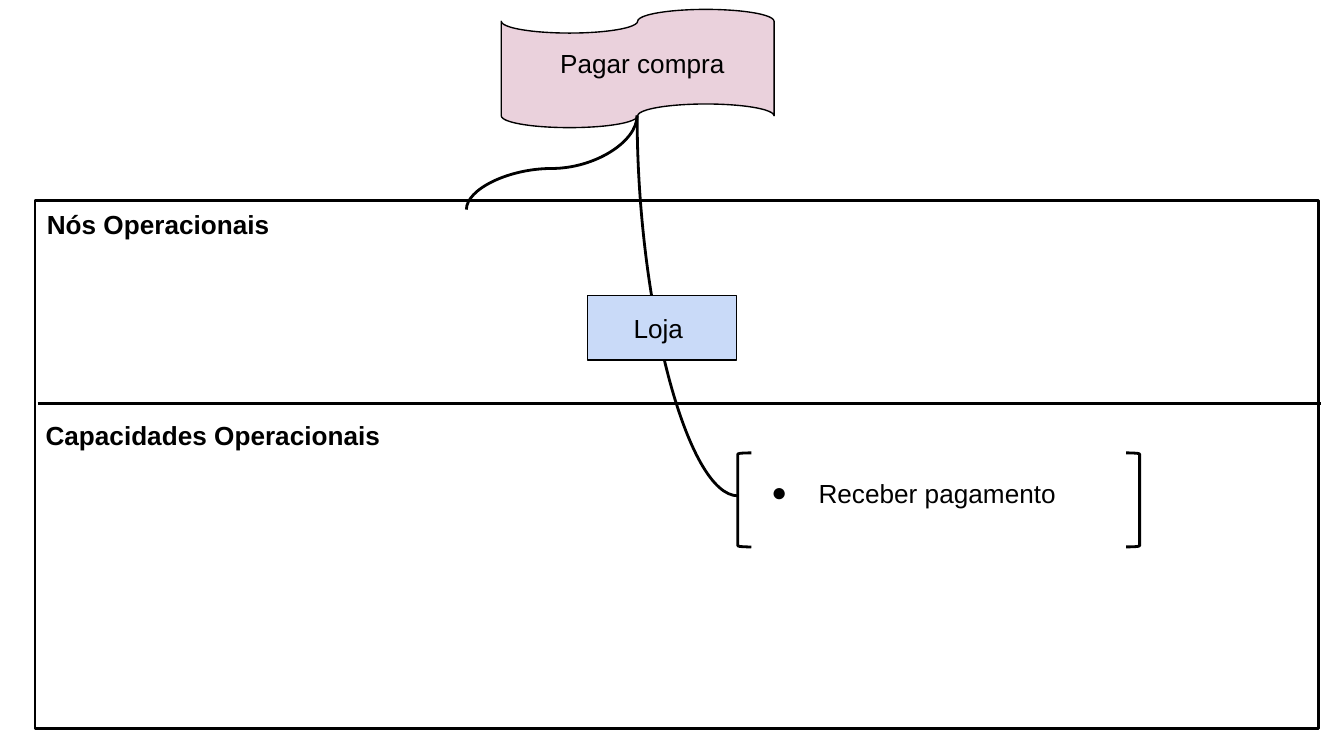
from dataclasses import dataclass
from typing import Optional

from lxml import etree
from pptx import Presentation
from pptx.dml.color import RGBColor
from pptx.enum import shapes as sh, text as tx
from pptx.oxml.ns import qn
from pptx.util import Inches, Pt

BLACK, WHITE, PINK, BLUE = "000000", "FFFFFF", "EAD1DC", "C9DAF8"
Shape = sh.MSO_SHAPE


@dataclass
class Box:
    left: float
    top: float
    width: float
    height: float

    def lengths(self) -> tuple:
        return tuple(Inches(v) for v in (self.left, self.top, self.width, self.height))


@dataclass
class Curve:
    """A curve that leaves its start vertically."""
    start: tuple
    end: tuple
    preset: str
    bend: Optional[int] = None


def color(value: str) -> RGBColor:
    return RGBColor.from_string(value)


def draw_shape(slide, kind, box: Box, fill: Optional[str], weight: float):
    shape = slide.shapes.add_shape(kind, *box.lengths())
    shape.shadow.inherit = False
    if fill:
        shape.fill.solid()
        shape.fill.fore_color.rgb = color(fill)
    else:
        shape.fill.background()
    shape.line.color.rgb = color(BLACK)
    shape.line.width = Pt(weight)
    return shape


def write(shape, words: str, align=tx.PP_ALIGN.LEFT, anchor=tx.MSO_ANCHOR.TOP,
          bold: bool = False, bullet: bool = False) -> None:
    frame = shape.text_frame
    frame.word_wrap = True
    frame.auto_size = tx.MSO_AUTO_SIZE.NONE
    frame.vertical_anchor = anchor
    frame.margin_left = frame.margin_right = Inches(0.1)
    frame.margin_top = frame.margin_bottom = Inches(0.1)
    frame.text = words
    paragraph = frame.paragraphs[0]
    paragraph.alignment = align
    paragraph.space_before = Pt(0)
    if bullet:
        properties = paragraph._p.get_or_add_pPr()
        properties.set("marL", str(Inches(0.5)))
        properties.set("indent", str(Inches(-0.35)))
        bullet_color = etree.SubElement(properties, qn("a:buClr"))
        etree.SubElement(bullet_color, qn("a:srgbClr"), val=BLACK)
        etree.SubElement(properties, qn("a:buFont"), typeface="Arial")
        etree.SubElement(properties, qn("a:buChar"), char="●")
    font = paragraph.font
    font.name, font.size, font.bold = "Arial", Pt(14), bold
    font.color.rgb = color(BLACK)


def place(slide, placeholder, box: Box) -> None:
    """Move a placeholder to its box, in front of what is drawn so far."""
    (placeholder.left, placeholder.top,
     placeholder.width, placeholder.height) = box.lengths()
    slide.shapes._spTree.append(placeholder._element)


def draw_connector(slide, kind, start: tuple, end: tuple):
    connector = slide.shapes.add_connector(kind, *(Inches(v) for v in (*start, *end)))
    connector.line.color.rgb = color(BLACK)
    connector.line.width = Pt(1.5)
    etree.SubElement(connector._element.spPr, qn("a:effectLst"))
    return connector


def draw_curve(slide, curve: Curve) -> None:
    """Lay the curve on its side, then turn it so that it runs downwards."""
    (x1, y1), (x2, y2) = curve.start, curve.end
    mid_x, mid_y = (x1 + x2) / 2, (y1 + y2) / 2
    half_w, half_h = (y2 - y1) / 2, abs(x2 - x1) / 2
    side = -1 if x2 < x1 else 1
    connector = draw_connector(slide, sh.MSO_CONNECTOR.CURVE,
                               (mid_x + side * half_w, mid_y - half_h),
                               (mid_x - side * half_w, mid_y + half_h))
    properties = connector._element.spPr
    properties.find(qn("a:xfrm")).set("rot", str((90 if side < 0 else 270) * 60000))
    geometry = properties.find(qn("a:prstGeom"))
    geometry.set("prst", curve.preset)
    if curve.bend is not None:
        etree.SubElement(geometry.find(qn("a:avLst")), qn("a:gd"),
                         name="adj1", fmla=f"val {curve.bend}")


def main() -> None:
    deck = Presentation()
    deck.slide_width = Inches(10)
    deck.slide_height = deck.slide_width * 9 // 16
    slide = deck.slides.add_slide(deck.slide_layouts[1])
    activity, capabilities = slide.placeholders

    draw_shape(slide, Shape.FLOWCHART_PUNCHED_TAPE, Box(3.73, 0.07, 2.03, 0.88), PINK, 0.75)
    place(slide, activity, Box(3.73, 0.25, 2.1, 0.52))
    write(activity, "Pagar compra", tx.PP_ALIGN.CENTER)

    draw_shape(slide, Shape.RECTANGLE, Box(0.26, 1.49, 9.55, 3.93), WHITE, 1.5)
    draw_connector(slide, sh.MSO_CONNECTOR.STRAIGHT, (0.28, 3), (9.83, 3))
    for heading, box in (("Nós Operacionais", Box(0.25, 1.45, 2.03, 0.37)),
                         ("Capacidades Operacionais", Box(0.24, 3.02, 2.78, 0.46))):
        write(slide.shapes.add_textbox(*box.lengths()), heading, bold=True)

    for bracket_kind, left in ((Shape.LEFT_BRACKET, 5.49), (Shape.RIGHT_BRACKET, 8.38)):
        bracket = draw_shape(slide, bracket_kind, Box(left, 3.37, 0.1, 0.7), None, 1.5)
        bracket.adjustments[0] = 0.08
    place(slide, capabilities, Box(5.49, 3.45, 2.9, 0.48))
    write(capabilities, "Receber pagamento", bullet=True)

    tape_bottom = (4.74, 0.86)
    for curve in (Curve(tape_bottom, (3.47, 1.56), "curvedConnector3", 56300),
                  Curve(tape_bottom, (5.49, 3.69), "curvedConnector2")):
        draw_curve(slide, curve)

    store = draw_shape(slide, Shape.RECTANGLE, Box(4.37, 2.2, 1.11, 0.48), BLUE, 0.75)
    write(store, "Loja ", tx.PP_ALIGN.CENTER, tx.MSO_ANCHOR.MIDDLE)

    deck.save("out.pptx")


if __name__ == "__main__":
    main()
